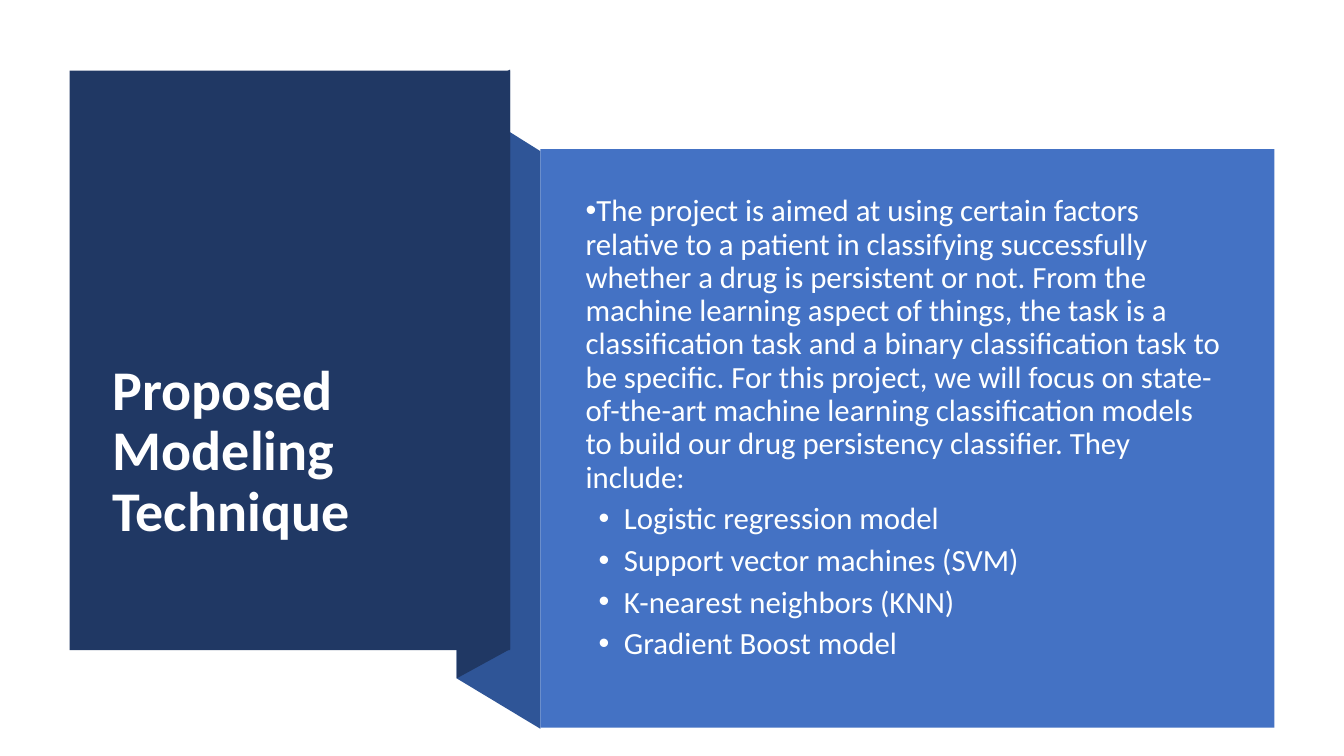
"""Build the slide on the proposed modeling technique."""
from dataclasses import dataclass

from lxml import etree
from pptx import Presentation
from pptx.dml.color import RGBColor
from pptx.enum.shapes import MSO_SHAPE
from pptx.enum.text import MSO_ANCHOR, MSO_AUTO_SIZE, PP_ALIGN
from pptx.oxml.ns import qn
from pptx.util import Inches, Pt

RECTANGLE = MSO_SHAPE.RECTANGLE
BOTTOM, MIDDLE = MSO_ANCHOR.BOTTOM, MSO_ANCHOR.MIDDLE
LEFT = PP_ALIGN.LEFT
NO_AUTOFIT = MSO_AUTO_SIZE.NONE

TITLE = "Proposed Modeling Technique"
INTRODUCTION = (
    "The project is aimed at using certain factors relative to a patient in "
    "classifying successfully whether a drug is persistent or not. From the "
    "machine learning aspect of things, the task is a classification task and "
    "a binary classification task to be specific. For this project, we will "
    "focus on state-of-the-art machine learning classification models to build "
    "our drug persistency classifier. They include:"
)
MODELS = [
    "Logistic regression model",
    "Support vector machines (SVM)",
    "K-nearest neighbors (KNN)",
    "Gradient Boost model",
]


@dataclass(frozen=True)
class Theme:
    font: str = "Calibri"
    title_size: int = 40
    body_size: int = 22
    line_spacing: float = 0.9
    space_after: int = 6
    navy: str = "203864"
    fold: str = "2F5597"
    panel: str = "4472C4"
    title_text: str = "FFFFFF"
    body_text: str = "FEFFFF"


THEME = Theme()
SLIDE_SIZE = (13.33, 7.5)
TITLE_PANEL = (0.69, 0.7, 4.37, 5.75)
BODY_PANEL = (5.36, 1.48, 7.28, 5.74)
TITLE_BOX = (1.02, 1.07, 3.71, 4.99)
BODY_BOX = (5.71, 1.88, 6.51, 4.74)
TITLE_BOTTOM_INSET = 0.67
HANGING = 0.25
MODEL_MARGIN = 0.38

FOLD_LEFT, FOLD_TOP, FOLD_BOTTOM = 4.53, 0.98, 6.73
TITLE_EDGE = TITLE_PANEL[0] + TITLE_PANEL[2]
BODY_EDGE = BODY_PANEL[0]
FOLDS = [
    (BODY_EDGE, 1.5, 7.23, THEME.fold),
    (TITLE_EDGE, 0.69, 6.44, THEME.navy),
]


def paint(shape, color):
    shape.shadow.inherit = False
    shape.fill.solid()
    shape.fill.fore_color.rgb = RGBColor.from_string(color)
    shape.line.fill.background()


def add_fold(slide, right, right_top, right_bottom, color):
    builder = slide.shapes.build_freeform(
        Inches(right), Inches(right_bottom), scale=1.0
    )
    corners = [(FOLD_LEFT, FOLD_BOTTOM), (FOLD_LEFT, FOLD_TOP), (right, right_top)]
    builder.add_line_segments([(Inches(x), Inches(y)) for x, y in corners], close=True)
    paint(builder.convert_to_shape(), color)


def add_panel(slide, box, color):
    paint(slide.shapes.add_shape(RECTANGLE, *map(Inches, box)), color)


def prepare_frame(shape, anchor):
    frame = shape.text_frame
    frame.word_wrap = True
    frame.auto_size = NO_AUTOFIT
    frame.vertical_anchor = anchor
    return frame


def format_paragraph(paragraph, size, color, bold=False):
    paragraph.alignment = LEFT
    paragraph.line_spacing = THEME.line_spacing
    for run in paragraph.runs:
        run.font.name = THEME.font
        run.font.size = Pt(size)
        run.font.bold = bold
        run.font.color.rgb = RGBColor.from_string(color)


def add_bullet(paragraph, margin):
    properties = paragraph._p.get_or_add_pPr()
    properties.set("marL", str(Inches(margin)))
    properties.set("indent", str(-Inches(HANGING)))
    etree.SubElement(properties, qn("a:buFont")).set("typeface", "Arial")
    etree.SubElement(properties, qn("a:buChar")).set("char", "•")


def add_title(slide):
    title = slide.shapes.title
    title.left, title.top, title.width, title.height = map(Inches, TITLE_BOX)
    frame = prepare_frame(title, BOTTOM)
    frame.margin_bottom = Inches(TITLE_BOTTOM_INSET)
    frame.text = TITLE
    format_paragraph(frame.paragraphs[0], THEME.title_size, THEME.title_text, bold=True)
    slide.shapes._spTree.append(title._element)


def add_body(slide):
    frame = prepare_frame(slide.shapes.add_textbox(*map(Inches, BODY_BOX)), MIDDLE)
    frame.text = "\n".join([INTRODUCTION, *MODELS])
    for index, paragraph in enumerate(frame.paragraphs):
        format_paragraph(paragraph, THEME.body_size, THEME.body_text)
        paragraph.space_after = Pt(THEME.space_after)
        add_bullet(paragraph, MODEL_MARGIN if index else 0)


def main():
    presentation = Presentation()
    presentation.slide_width, presentation.slide_height = map(Inches, SLIDE_SIZE)
    slide = presentation.slides.add_slide(presentation.slide_layouts.get_by_name("Title Only"))
    for fold in FOLDS:
        add_fold(slide, *fold)
    add_panel(slide, TITLE_PANEL, THEME.navy)
    add_title(slide)
    add_panel(slide, BODY_PANEL, THEME.panel)
    add_body(slide)
    presentation.save("out.pptx")


if __name__ == "__main__":
    main()
